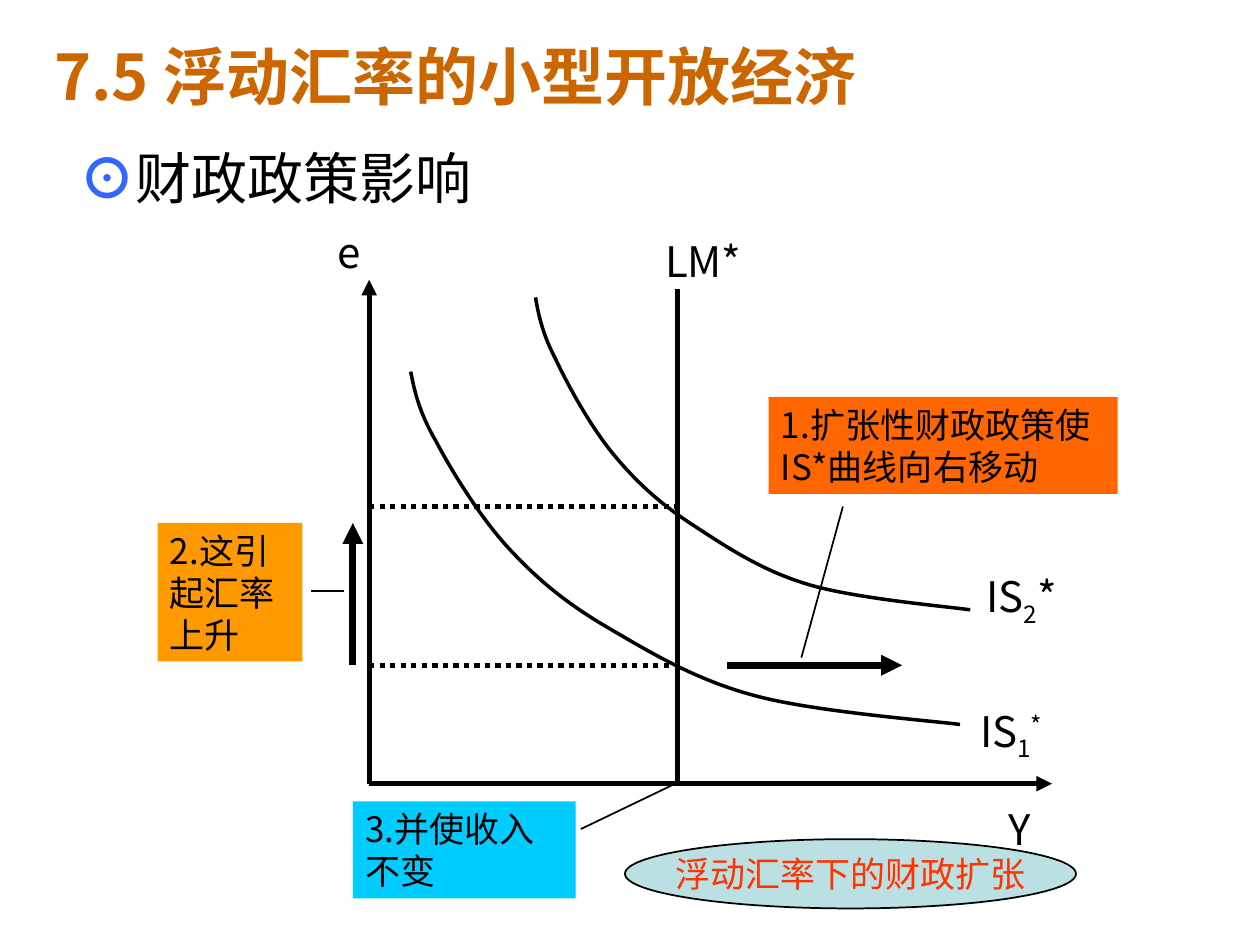
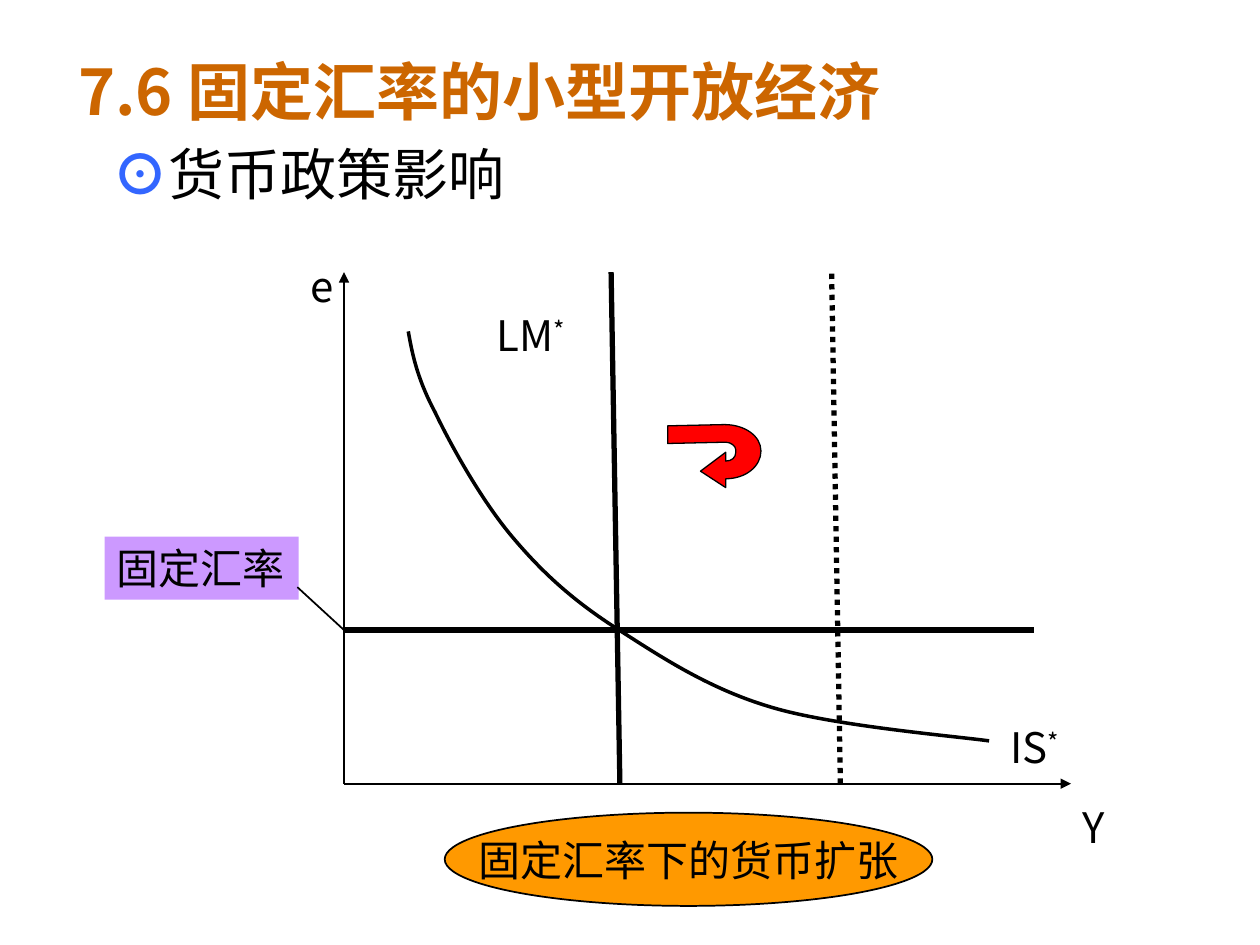
import pptx
import pptx.dml.color
import pptx.enum.dml
import pptx.enum.shapes
import pptx.enum.text
import pptx.oxml.ns
import pptx.util
from lxml import etree

Inches = pptx.util.Inches
Pt = pptx.util.Pt
RGBColor = pptx.dml.color.RGBColor
Shape = pptx.enum.shapes.MSO_SHAPE
Anchor = pptx.enum.text.MSO_ANCHOR
Align = pptx.enum.text.PP_ALIGN
qn = pptx.oxml.ns.qn

FONT = "Noto Sans CJK SC"
BLACK = RGBColor(0x00, 0x00, 0x00)
TITLE_BROWN = RGBColor(0xCC, 0x66, 0x00)
MARK_BLUE = RGBColor(0x33, 0x66, 0xFF)
ORANGE = RGBColor(0xFF, 0x99, 0x00)
DEEP_ORANGE = RGBColor(0xFF, 0x66, 0x00)
SKY = RGBColor(0x00, 0xCC, 0xFF)
LILAC = RGBColor(0xCC, 0x99, 0xFF)
PALE_TEAL = RGBColor(0xBB, 0xE0, 0xE3)
RED = RGBColor(0xFF, 0x00, 0x00)
CAPTION_RED = RGBColor(0xFF, 0x33, 0x00)

SUBSCRIPT, SUPERSCRIPT = -25000, 30000

# IS curve as cubic segments, in percent of its width and height
IS_CURVE = [
    (0.7, 5.5, 1.5, 11.4, 4.6, 19.7),
    (7.4, 28, 12.6, 41.2, 17.8, 50),
    (23, 58.8, 28.2, 65.5, 35.6, 72.3),
    (43, 79, 51.4, 87.1, 62.3, 91.7),
    (72.9, 96.3, 93.7, 98.8, 100, 100),
]

# U-turn arrow: pairs are corners, sixes are cubic segments, in inches
U_TURN_START = (5.56, 3.74)
U_TURN = [
    (5.76, 3.87), (5.76, 3.8),
    (5.92, 3.8, 6.04, 3.7, 6.04, 3.58),
    (6.04, 3.46, 5.91, 3.37, 5.75, 3.37),
    (5.3, 3.38), (5.3, 3.52), (5.76, 3.51),
    (5.8, 3.51, 5.84, 3.54, 5.84, 3.57),
    (5.84, 3.59),
    (5.84, 3.63, 5.81, 3.66, 5.76, 3.66),
    (5.76, 3.59),
]


# ---- text ----
def style_paragraph(paragraph, size, color, bold=False, align=Align.LEFT):
    paragraph.alignment = align
    paragraph.space_before = Pt(0)
    font = paragraph.font
    font.name, font.size, font.bold = FONT, Pt(size), bold
    font.color.rgb = color
    properties = paragraph._p.get_or_add_pPr().find(qn("a:defRPr"))
    east_asian = etree.Element(qn("a:ea"), typeface=FONT)
    properties.find(qn("a:latin")).addnext(east_asian)


def write_text(shape, parts, size, color=BLACK, align=Align.LEFT,
               anchor=Anchor.TOP, wrap=True):
    """Parts are plain strings or (string, baseline) pairs."""
    frame = shape.text_frame
    frame.word_wrap = wrap
    frame.vertical_anchor = anchor
    paragraph = frame.paragraphs[0]
    for part in parts:
        text, baseline = (part, 0) if isinstance(part, str) else part
        run = paragraph.add_run()
        run.text = text
        if baseline:
            run._r.get_or_add_rPr().set("baseline", str(baseline))
    style_paragraph(paragraph, size, color, align=align)


def place(shape, box):
    shape.left, shape.top, shape.width, shape.height = map(Inches, box)
    shape.text_frame.auto_size = pptx.enum.text.MSO_AUTO_SIZE.NONE
    shape.text_frame.vertical_anchor = Anchor.TOP


def set_title(slide, text, box):
    title = slide.shapes.title
    place(title, box)
    title.text_frame.text = text
    style_paragraph(title.text_frame.paragraphs[0], 36, TITLE_BROWN, bold=True)


def set_topic(slide, text, box, mark_left=0):
    """Fill the body with a topic led by a blue ring mark."""
    body = slide.placeholders[1]
    place(body, box)
    paragraph = body.text_frame.paragraphs[0]
    mark, topic = paragraph.add_run(), paragraph.add_run()
    mark.text, topic.text = "⊙", text
    mark.font.bold = True
    mark.font.color.rgb = MARK_BLUE
    paragraph.line_spacing = 0.9
    properties = paragraph._p.get_or_add_pPr()
    properties.set("marL", str(Inches(mark_left + 0.38)))
    properties.set("indent", str(-Inches(0.38)))
    etree.SubElement(properties, qn("a:buNone"))
    style_paragraph(paragraph, 32, BLACK)


def add_label(slide, box, *parts):
    write_text(slide.shapes.add_textbox(*map(Inches, box)), parts, 24)


# ---- shapes ----
def add_filled_shape(slide, kind, box, fill):
    shape = slide.shapes.add_shape(kind, *map(Inches, box))
    shape.shadow.inherit = False
    shape.fill.solid()
    shape.fill.fore_color.rgb = fill
    return shape


def add_callout(slide, box, text, fill, size=20):
    shape = add_filled_shape(slide, Shape.RECTANGLE, box, fill)
    shape.line.fill.background()
    write_text(shape, [text], size)


def add_caption(slide, box, text, fill, size, color):
    shape = add_filled_shape(slide, Shape.OVAL, box, fill)
    shape.line.color.rgb = BLACK
    shape.line.width = Pt(1)
    write_text(shape, [text], size, color, Align.CENTER, Anchor.MIDDLE, wrap=False)


def add_line(slide, start, end, width=1, arrow=False, dotted=False):
    connector = slide.shapes.add_connector(
        pptx.enum.shapes.MSO_CONNECTOR.STRAIGHT, *map(Inches, start + end))
    connector.line.color.rgb = BLACK
    connector.line.width = Pt(width)
    if dotted:
        connector.line.dash_style = pptx.enum.dml.MSO_LINE.ROUND_DOT
    if arrow:
        etree.SubElement(connector.line._get_or_add_ln(), qn("a:tailEnd"),
                         type="triangle")
    etree.SubElement(connector._element.spPr, qn("a:effectLst"))


def bend_segments(shape, segments):
    """Join the three steps of each cubic segment into one curve."""
    steps = iter(list(shape._element.iter(qn("a:lnTo"))))
    for segment in segments:
        parts = [next(steps) for _ in range(len(segment) // 2)]
        if len(parts) == 3:
            curve = etree.Element(qn("a:cubicBezTo"))
            parts[0].addprevious(curve)
            for part in parts:
                curve.append(part[0])
                part.getparent().remove(part)


def add_path(slide, start, segments, width, fill=None):
    """Draw corners and cubic segments; a filled path is closed."""
    points = [(Inches(x), Inches(y)) for segment in [start, *segments]
              for x, y in zip(segment[::2], segment[1::2])]
    builder = slide.shapes.build_freeform(*points[0])
    builder.add_line_segments(points[1:], close=fill is not None)
    shape = builder.convert_to_shape()
    bend_segments(shape, segments)
    shape.shadow.inherit = False
    shape.line.color.rgb = BLACK
    shape.line.width = Pt(width)
    if fill is None:
        shape.fill.background()
    else:
        shape.fill.solid()
        shape.fill.fore_color.rgb = fill


def add_is_curve(slide, left, top, width, height):
    segments = [
        tuple(top + value * height / 100 if index % 2 else left + value * width / 100
              for index, value in enumerate(segment))
        for segment in IS_CURVE]
    add_path(slide, (left, top), segments, 2)


def add_axes(slide, origin, top, right, width):
    add_line(slide, origin, (origin[0], top), width, arrow=True)
    add_line(slide, origin, (right, origin[1]), width, arrow=True)


# ---- slides ----
def build_floating_rate(slide):
    set_topic(slide, "财政政策影响", (0.33, 1.15, 9.33, 5.6), mark_left=0.2)
    set_title(slide, "7.5 浮动汇率的小型开放经济", (0.33, 0.25, 8.83, 0.7))

    # Axes, curves and equilibrium levels
    axis_x, axis_y, income_x = 2.93, 6.22, 5.38
    add_axes(slide, (axis_x, axis_y), 2.22, 8.35, 3)
    add_is_curve(slide, 3.26, 2.95, 4.36, 2.8)
    add_is_curve(slide, 4.25, 2.36, 3.45, 2.48)
    add_line(slide, (income_x, axis_y), (income_x, 2.29), 3)
    for rate_y, end_x in ((4.02, 5.37), (5.28, 5.31)):
        add_line(slide, (axis_x, rate_y), (end_x, rate_y), 3, dotted=True)
    add_label(slide, (2.58, 1.75, 1.39, 0.5), "e")
    add_label(slide, (7.91, 6.33, 0.84, 0.5), "Y")
    add_label(slide, (5.18, 1.82, 0.86, 0.5), "LM*")
    add_label(slide, (7.68, 5.55, 0.98, 0.56), "IS", ("1", SUBSCRIPT), ("*", SUPERSCRIPT))
    add_label(slide, (7.73, 4.48, 0.79, 0.56), "IS", ("2", SUBSCRIPT), "*")

    # Shifts and their explanations
    add_line(slide, (2.8, 5.28), (2.8, 4.15), 4, arrow=True)
    add_line(slide, (5.77, 5.28), (7.16, 5.28), 4, arrow=True)
    add_callout(slide, (6.1, 3.15, 2.77, 0.77), "1.扩张性财政政策使IS*曲线向右移动", DEEP_ORANGE)
    add_callout(slide, (1.25, 4.15, 1.15, 1.1), "2.这引起汇率上升", ORANGE)
    add_callout(slide, (2.8, 6.36, 1.77, 0.77), "3.并使收入不变", SKY)
    add_line(slide, (6.69, 4.02), (6.36, 5.22))
    add_line(slide, (2.47, 4.69), (2.73, 4.69))
    add_line(slide, (4.61, 6.58), (income_x, 6.21))
    add_caption(slide, (4.96, 6.66, 3.58, 0.55), "浮动汇率下的财政扩张",
                PALE_TEAL, 20, CAPTION_RED)


def build_fixed_rate(slide):
    set_title(slide, "7.6 固定汇率的小型开放经济", (0.52, 0.37, 8.42, 0.7))
    set_topic(slide, "货币政策影响", (0.79, 1.12, 4.21, 0.58))

    # Axes, curves and the fixed rate
    axis_x, axis_y, axis_top, rate_y = 2.73, 6.22, 2.16, 5
    add_axes(slide, (axis_x, axis_y), axis_top, 8.5, 1)
    add_is_curve(slide, 3.24, 2.63, 4.61, 3.25)
    add_line(slide, (axis_x, rate_y), (8.21, rate_y), 3)
    for money_x, dotted in ((4.92, False), (6.67, True)):
        add_line(slide, (money_x, axis_y), (money_x - 0.07, axis_top), 3, dotted=dotted)
    add_label(slide, (2.37, 2.02, 0.46, 0.5), "e")
    add_label(slide, (8.49, 6.31, 0.68, 0.5), "Y")
    add_label(slide, (7.92, 5.68, 0.81, 0.5), "IS", ("*", SUPERSCRIPT))
    add_label(slide, (3.84, 2.41, 0.95, 0.5), "LM", ("*", SUPERSCRIPT))

    # Return of LM* and explanations
    add_path(slide, U_TURN_START, U_TURN, 0.75, RED)
    add_callout(slide, (0.83, 4.26, 1.54, 0.5), "固定汇率", LILAC, 24)
    add_line(slide, (2.36, 4.66), (axis_x, rate_y))
    add_caption(slide, (3.53, 6.45, 3.87, 0.74), "固定汇率下的货币扩张", ORANGE, 24, BLACK)


def main():
    presentation = pptx.Presentation()
    presentation.slide_width, presentation.slide_height = Inches(10), Inches(7.5)
    for build in (build_floating_rate, build_fixed_rate):
        build(presentation.slides.add_slide(presentation.slide_layouts[1]))
    presentation.save("out.pptx")


if __name__ == "__main__":
    main()
